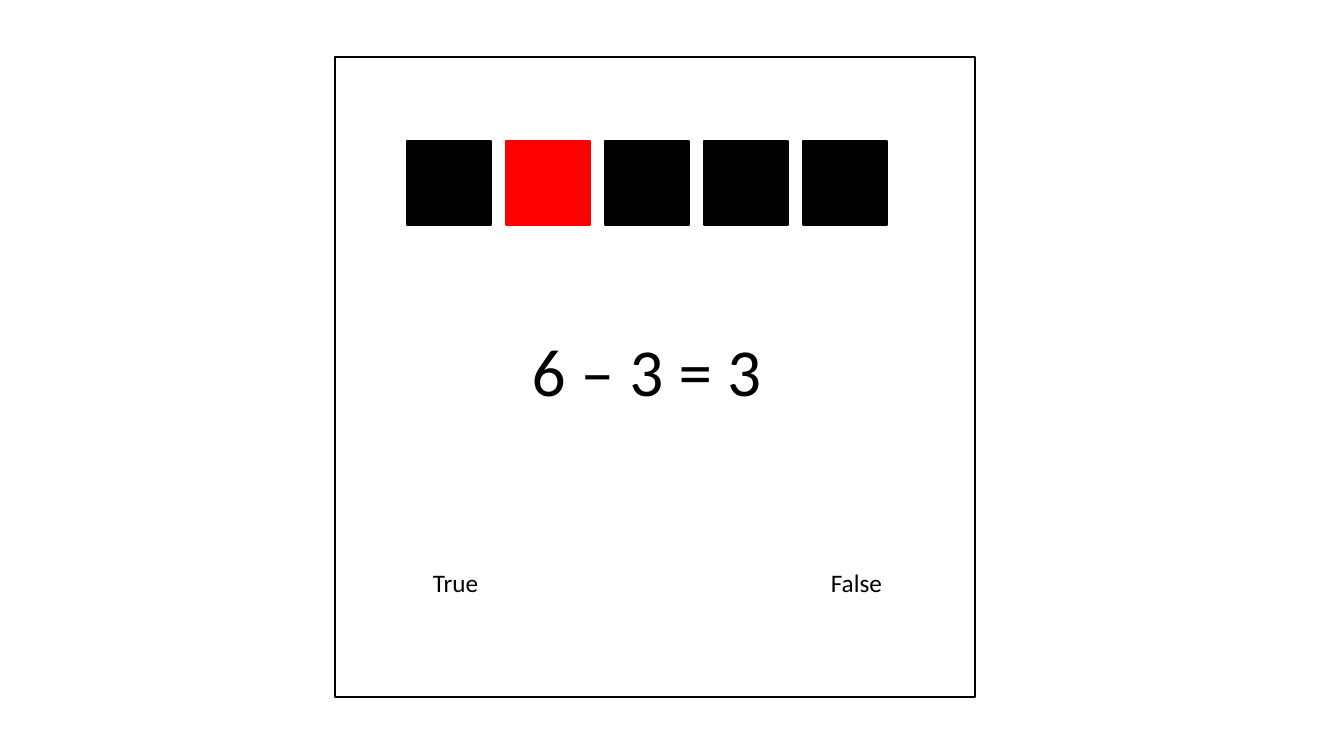
from typing import NamedTuple, Optional

from pptx import Presentation
from pptx.dml.color import RGBColor
from pptx.enum.shapes import MSO_SHAPE as Preset
from pptx.enum.text import MSO_AUTO_SIZE as AutoSize, PP_ALIGN as Align
from pptx.slide import Slide
from pptx.util import Emu, Pt

PIXEL = 914400 / 100.8
COLORS = {"ink": "000000", "accent": "FF0000"}
FONT = "Calibri"

SQUARE_LEFT, SQUARE_TOP, SQUARE_SIZE, SQUARE_PITCH = 407, 141, 84, 99
SQUARE_COLORS = ["ink", "accent", "ink", "ink", "ink"]


class Box(NamedTuple):
    """A rectangle in pixels."""
    left: int
    top: int
    width: int
    height: int

    def emu(self) -> list[Emu]:
        """Return the four lengths in EMU."""
        return [px(length) for length in self]


class Label(NamedTuple):
    """A line of text with its place and style."""
    text: str
    box: Box
    size: int
    align: Align
    wrap: bool


LABELS = [
    Label("6 – 3 = 3", Box(469, 324, 355, 92), 48, Align.CENTER, True),
    Label("True", Box(423, 562, 67, 40), 18, Align.LEFT, False),
    Label("False", Box(821, 562, 72, 40), 18, Align.LEFT, False),
]


def px(length: int) -> Emu:
    """Convert pixels to EMU."""
    return Emu(round(length * PIXEL))


def color(name: str) -> RGBColor:
    """Look up a named colour."""
    return RGBColor.from_string(COLORS[name])


def add_rectangle(page: Slide, box: Box, line: str, fill: Optional[str] = None) -> None:
    """Draw an outlined rectangle, filled if a fill is given."""
    shape = page.shapes.add_shape(Preset.RECTANGLE, *box.emu())
    shape.shadow.inherit = False
    shape.line.color.rgb = color(line)
    shape.line.width = Pt(1)
    if fill:
        shape.fill.solid()
        shape.fill.fore_color.rgb = color(fill)
    else:
        shape.fill.background()


def add_label(page: Slide, label: Label) -> None:
    """Place one line of text."""
    frame = page.shapes.add_textbox(*label.box.emu()).text_frame
    frame.word_wrap = label.wrap
    frame.auto_size = AutoSize.SHAPE_TO_FIT_TEXT
    para = frame.paragraphs[0]
    para.alignment = label.align
    span = para.add_run()
    span.text = label.text
    span.font.name = FONT
    span.font.size = Pt(label.size)
    span.font.color.rgb = color("ink")


def main() -> None:
    """Build and save the slide."""
    deck = Presentation()
    deck.slide_width, deck.slide_height = px(1344), px(756)
    page = deck.slides.add_slide(deck.slide_layouts.get_by_name("Blank"))

    add_rectangle(page, Box(335, 57, 640, 640), "ink")
    for index, name in enumerate(SQUARE_COLORS):
        left = SQUARE_LEFT + index * SQUARE_PITCH
        add_rectangle(page, Box(left, SQUARE_TOP, SQUARE_SIZE, SQUARE_SIZE), name, name)
    for label in LABELS:
        add_label(page, label)

    deck.save("out.pptx")


main()
